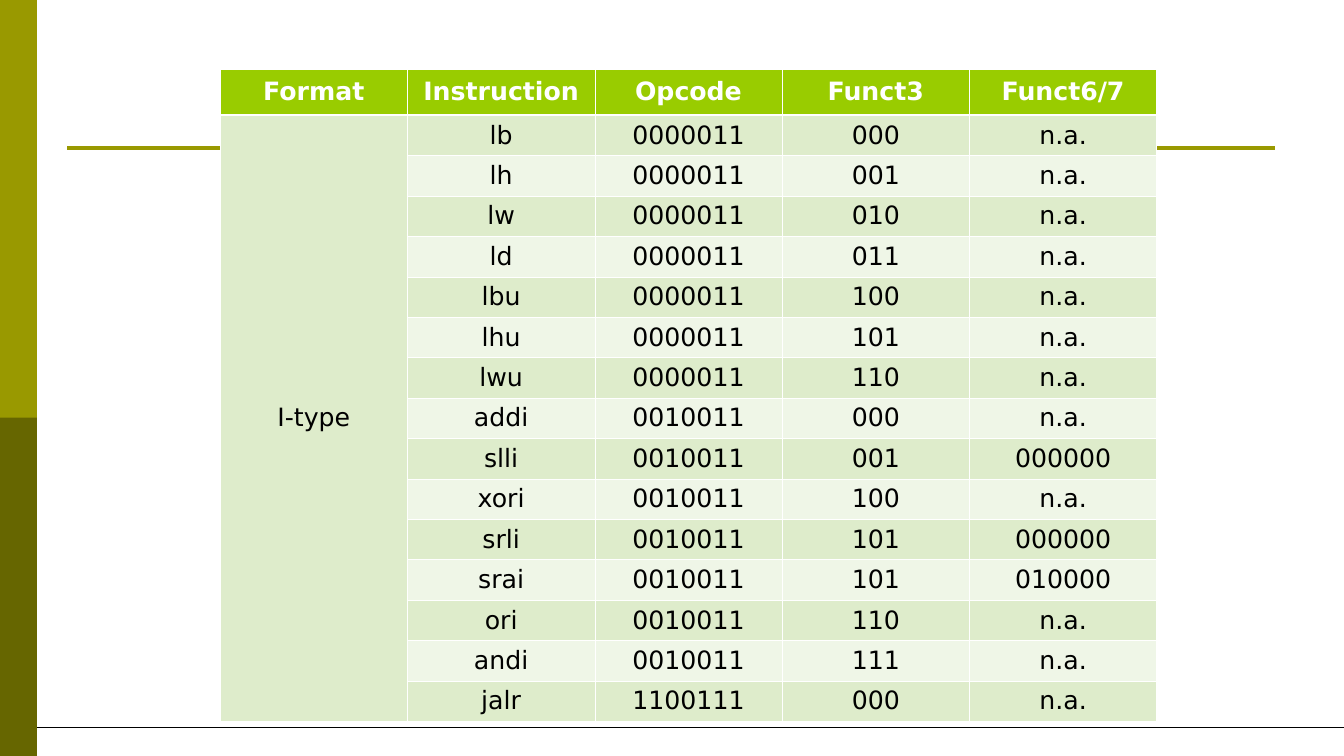
"""Build a slide listing the opcodes of the I-type instructions."""
from lxml.etree import SubElement
from pptx import Presentation
from pptx.dml.color import RGBColor
from pptx.enum.shapes import MSO_CONNECTOR, MSO_SHAPE
from pptx.enum.text import MSO_ANCHOR, PP_ALIGN
from pptx.oxml.ns import qn
from pptx.util import Pt

HEADERS = ["Format", "Instruction", "Opcode", "Funct3", "Funct6/7"]
FORMAT_NAME = "I-type"
INSTRUCTIONS = [
    ("lb", "0000011", "000", "n.a."),
    ("lh", "0000011", "001", "n.a."),
    ("lw", "0000011", "010", "n.a."),
    ("ld", "0000011", "011", "n.a."),
    ("lbu", "0000011", "100", "n.a."),
    ("lhu", "0000011", "101", "n.a."),
    ("lwu", "0000011", "110", "n.a."),
    ("addi", "0010011", "000", "n.a."),
    ("slli", "0010011", "001", "000000"),
    ("xori", "0010011", "100", "n.a."),
    ("srli", "0010011", "101", "000000"),
    ("srai", "0010011", "101", "010000"),
    ("ori", "0010011", "110", "n.a."),
    ("andi", "0010011", "111", "n.a."),
    ("jalr", "1100111", "000", "n.a."),
]

OLIVE = RGBColor(0x99, 0x99, 0x00)
DARK_OLIVE = RGBColor(0x66, 0x66, 0x00)
GREEN = RGBColor(0x99, 0xCC, 0x00)
DARK_BAND = RGBColor(0xDE, 0xEC, 0xCB)
LIGHT_BAND = RGBColor(0xEF, 0xF6, 0xE7)
WHITE = RGBColor(0xFF, 0xFF, 0xFF)
BLACK = RGBColor(0x00, 0x00, 0x00)

FONT = "DejaVu Sans"
THIN, THICK = Pt(0.45), Pt(1.47)
PX = 9080
SLIDE_WIDTH, SLIDE_HEIGHT = 1343, 755
SIDEBARS = [(0, 472, OLIVE), (417, 338, DARK_OLIVE)]
SIDEBAR_WIDTH = 37
RULES = [(67, 1274, 148, OLIVE, 3), (SIDEBAR_WIDTH, SLIDE_WIDTH, 727, BLACK, 0.75)]
TABLE_LEFT, TABLE_TOP, TABLE_WIDTH, TABLE_HEIGHT = 220, 69, 936, 652
HEADER_HEIGHT = 46


def add_sidebar(slide, top, height, color):
    bar = slide.shapes.add_shape(
        MSO_SHAPE.RECTANGLE, 0, top * PX, SIDEBAR_WIDTH * PX, height * PX)
    bar.shadow.inherit = False
    bar.fill.solid()
    bar.fill.fore_color.rgb = color
    bar.line.fill.background()


def add_rule(slide, left, right, y, color, weight):
    rule = slide.shapes.add_connector(
        MSO_CONNECTOR.STRAIGHT, left * PX, y * PX, right * PX, y * PX)
    rule.line.color.rgb = color
    rule.line.width = Pt(weight)
    SubElement(rule._element.spPr, qn("a:effectLst"))


def add_borders(cell, top, bottom):
    properties = cell._tc.get_or_add_tcPr()
    for side, width in (("L", THIN), ("R", THIN), ("T", top), ("B", bottom)):
        border = SubElement(properties, qn(f"a:ln{side}"), w=str(int(width)))
        fill = SubElement(border, qn("a:solidFill"))
        SubElement(fill, qn("a:srgbClr"), val=str(WHITE))


def style_cell(cell, row):
    is_header = row == 0
    add_borders(cell, THICK if row == 1 else THIN, THICK if is_header else THIN)
    cell.fill.solid()
    cell.fill.fore_color.rgb = (
        GREEN if is_header else DARK_BAND if row % 2 else LIGHT_BAND)
    cell.vertical_anchor = MSO_ANCHOR.MIDDLE


def write_cell(cell, text, is_header):
    paragraph = cell.text_frame.paragraphs[0]
    paragraph.alignment = PP_ALIGN.CENTER
    run = paragraph.add_run()
    run.text = text
    run.font.name = FONT
    run.font.size = Pt(18)
    run.font.bold = is_header
    run.font.color.rgb = WHITE if is_header else BLACK


def add_instruction_table(slide):
    rows = [HEADERS] + [
        (FORMAT_NAME if index == 0 else "", *fields)
        for index, fields in enumerate(INSTRUCTIONS)]
    table = slide.shapes.add_table(
        len(rows), len(HEADERS), TABLE_LEFT * PX, TABLE_TOP * PX,
        TABLE_WIDTH * PX, TABLE_HEIGHT * PX).table
    body_height = (TABLE_HEIGHT - HEADER_HEIGHT) * PX // len(INSTRUCTIONS)
    for row, texts in enumerate(rows):
        table.rows[row].height = body_height if row else HEADER_HEIGHT * PX
        for column, text in enumerate(texts):
            cell = table.cell(row, column)
            style_cell(cell, row)
            if text:
                write_cell(cell, text, row == 0)
    table.cell(1, 0).merge(table.cell(len(INSTRUCTIONS), 0))


def main():
    presentation = Presentation()
    presentation.slide_width = SLIDE_WIDTH * PX
    presentation.slide_height = SLIDE_HEIGHT * PX
    slide = presentation.slides.add_slide(presentation.slide_layouts[6])
    for sidebar in SIDEBARS:
        add_sidebar(slide, *sidebar)
    for rule in RULES:
        add_rule(slide, *rule)
    add_instruction_table(slide)
    presentation.save("out.pptx")


if __name__ == "__main__":
    main()
